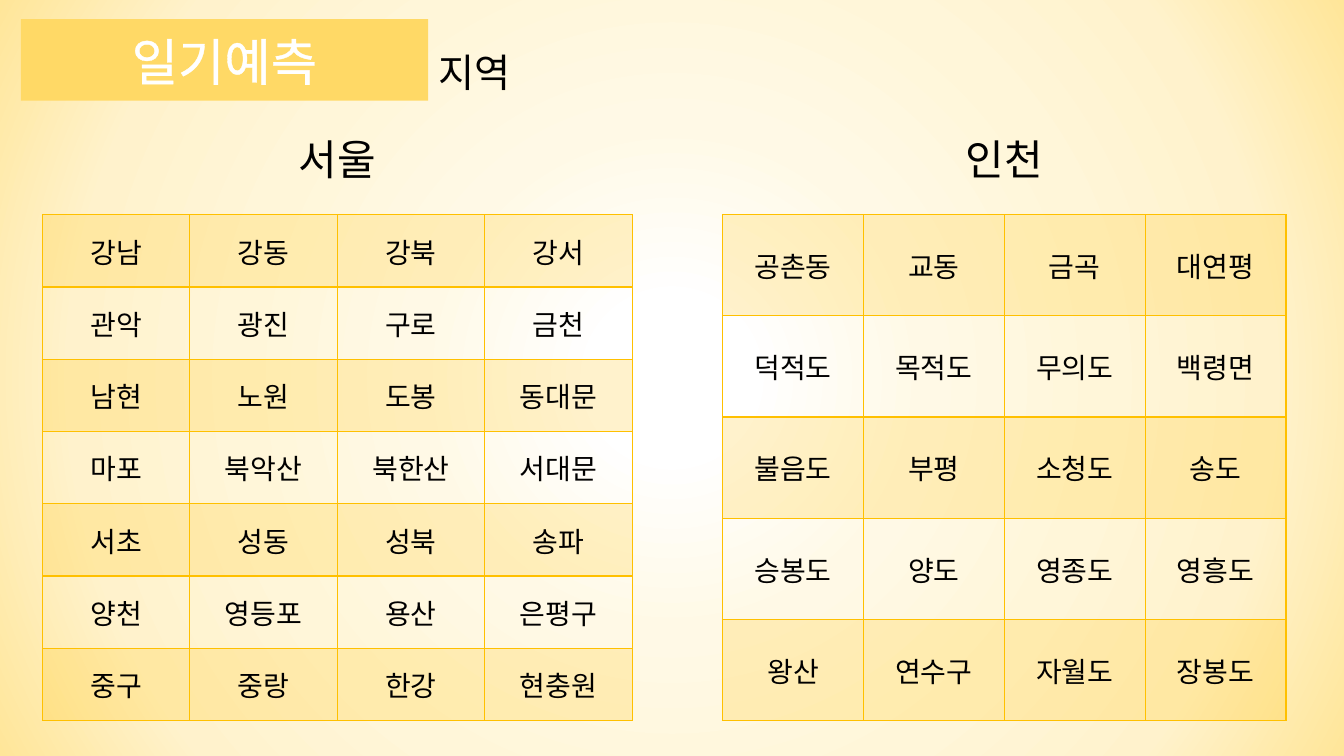
import dataclasses

import lxml.etree
import pptx
import pptx.dml.color
import pptx.enum.shapes
import pptx.enum.text
import pptx.oxml
import pptx.oxml.ns
import pptx.util
from pptx.util import Cm

FONT = "Noto Sans CJK KR"
WHITE, BLACK, GOLD, BANNER = "FFFFFF", "000000", "FFC000", "FFD966"
BACKGROUND_STOPS = [(10, "FFFFFF"), (33, "FFF9E6"), (56, "FFF6D9"), (78, "FFF2CC"), (100, "FFE699")]
TABLE_TOP, TABLE_HEIGHT = 5.41, 12.75
LABEL_TOP, LABEL_WIDTH, LABEL_HEIGHT = 3.23, 3.61, 1.55
ALIGN = pptx.enum.text.PP_ALIGN
ANCHOR = pptx.enum.text.MSO_ANCHOR
qn = pptx.oxml.ns.qn
NS = pptx.oxml.ns.nsdecls("a", "p")
NO_STYLE = "{2D5ABB26-0587-4C30-8999-92F81FD0307C}"


@dataclasses.dataclass
class Region:
    name: str
    left: float
    width: float
    rows: list[str]


REGIONS = [
    Region("서울", 1.07, 14.86, [
        "강남 강동 강북 강서",
        "관악 광진 구로 금천",
        "남현 노원 도봉 동대문",
        "마포 북악산 북한산 서대문",
        "서초 성동 성북 송파",
        "양천 영등포 용산 은평구",
        "중구 중랑 한강 현충원",
    ]),
    Region("인천", 18.21, 14.2, [
        "공촌동 교동 금곡 대연평",
        "덕적도 목적도 무의도 백령면",
        "불음도 부평 소청도 송도",
        "승봉도 양도 영종도 영흥도",
        "왕산 연수구 자월도 장봉도",
    ]),
]


def rgb(color: str) -> pptx.dml.color.RGBColor:
    return pptx.dml.color.RGBColor.from_string(color)


def line_xml(tag: str, color: str, width: float):
    return pptx.oxml.parse_xml(
        f'<a:{tag} {NS} w="{pptx.util.Pt(width)}"><a:solidFill>'
        f'<a:srgbClr val="{color}"/></a:solidFill></a:{tag}>')


def write(tf, text: str, *, size: float, color: str = BLACK, align=ALIGN.CENTER,
          outline: str | None = None) -> None:
    p = tf.paragraphs[0]
    p.alignment = align
    r = p.add_run()
    r.text = text
    r.font.size = pptx.util.Pt(size)
    r.font.color.rgb = rgb(color)
    r.font.name = FONT
    rpr = r.font._element
    lxml.etree.SubElement(rpr, qn("a:ea")).set("typeface", FONT)
    if outline:
        rpr.insert(0, line_xml("ln", outline, 0.75))


def fit_frame(tf) -> None:
    tf.word_wrap = True
    tf.vertical_anchor = ANCHOR.TOP
    tf.auto_size = pptx.enum.text.MSO_AUTO_SIZE.SHAPE_TO_FIT_TEXT


def add_text(s, left: float, top: float, width: float, height: float, text: str, **style) -> None:
    tf = s.shapes.add_textbox(Cm(left), Cm(top), Cm(width), Cm(height)).text_frame
    fit_frame(tf)
    write(tf, text, **style)


def paint_background(s) -> None:
    stops = "".join(f'<a:gs pos="{pos * 1000}"><a:srgbClr val="{color}"/></a:gs>'
                    for pos, color in BACKGROUND_STOPS)
    bg = pptx.oxml.parse_xml(
        f'<p:bg {NS}><p:bgPr><a:gradFill rotWithShape="1"><a:gsLst>{stops}</a:gsLst>'
        '<a:path path="circle"><a:fillToRect l="50000" t="50000" r="50000" b="50000"/></a:path>'
        '</a:gradFill><a:effectLst/></p:bgPr></p:bg>')
    s.element.find(qn("p:cSld")).insert(0, bg)


def add_title(s) -> None:
    banner = s.shapes.add_shape(pptx.enum.shapes.MSO_SHAPE.RECTANGLE,
                                Cm(0.53), Cm(0.48), Cm(10.26), Cm(2.06))
    banner.shadow.inherit = False
    banner.fill.solid()
    banner.fill.fore_color.rgb = rgb(BANNER)
    banner.line.fill.background()

    title = s.shapes.title
    title.left, title.top, title.width, title.height = Cm(1.07), Cm(0.64), Cm(9.17), Cm(1.8)
    fit_frame(title.text_frame)
    write(title.text_frame, "일기예측", size=36, color=WHITE, outline=WHITE)
    banner.element.addnext(title.element)


def format_cell(cell, shaded: bool) -> None:
    cell.vertical_anchor = ANCHOR.MIDDLE
    if shaded:
        cell.fill.solid()
        cell.fill.fore_color.rgb = rgb(GOLD)
    else:
        cell.fill.background()
    tcpr = cell._tc.get_or_add_tcPr()
    for color in tcpr.iter(qn("a:srgbClr")):
        lxml.etree.SubElement(color, qn("a:alpha")).set("val", "20000")
    for i, side in enumerate(("lnL", "lnR", "lnT", "lnB")):
        tcpr.insert(i, line_xml(side, GOLD, 1))


def add_region_table(s, region: Region) -> None:
    rows = [row.split() for row in region.rows]
    table = s.shapes.add_table(len(rows), len(rows[0]), Cm(region.left), Cm(TABLE_TOP),
                               Cm(region.width), Cm(TABLE_HEIGHT)).table
    table.first_row = table.horz_banding = False
    table._tbl.tblPr.find(qn("a:tableStyleId")).text = NO_STYLE
    for i, row in enumerate(rows):
        for j, place in enumerate(row):
            cell = table.cell(i, j)
            write(cell.text_frame, place, size=20)
            format_cell(cell, shaded=i % 2 == 0)


def main() -> None:
    prs = pptx.Presentation()
    prs.slide_width, prs.slide_height = Cm(33.87), Cm(19.05)
    s = prs.slides.add_slide(prs.slide_layouts[5])
    paint_background(s)

    # Heading
    add_title(s)
    add_text(s, 10.8, 1.09, 8.79, 1.45, "지역", size=28, align=ALIGN.LEFT)

    # Tables, each with its city name centred above
    for region in REGIONS:
        add_region_table(s, region)
        label_left = region.left + (region.width - LABEL_WIDTH) / 2
        add_text(s, label_left, LABEL_TOP, LABEL_WIDTH, LABEL_HEIGHT, region.name, size=30)

    prs.save("out.pptx")


if __name__ == "__main__":
    main()
